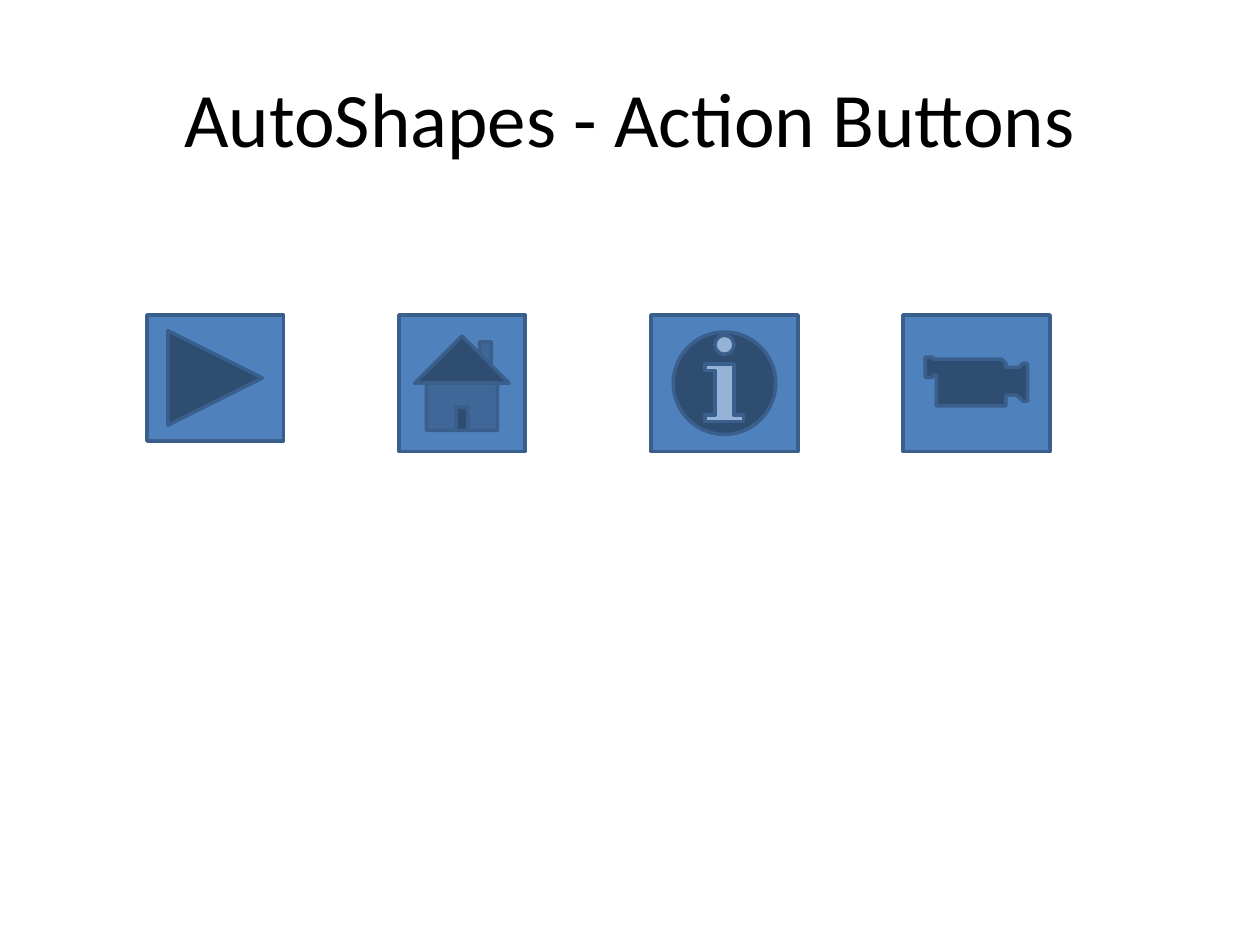
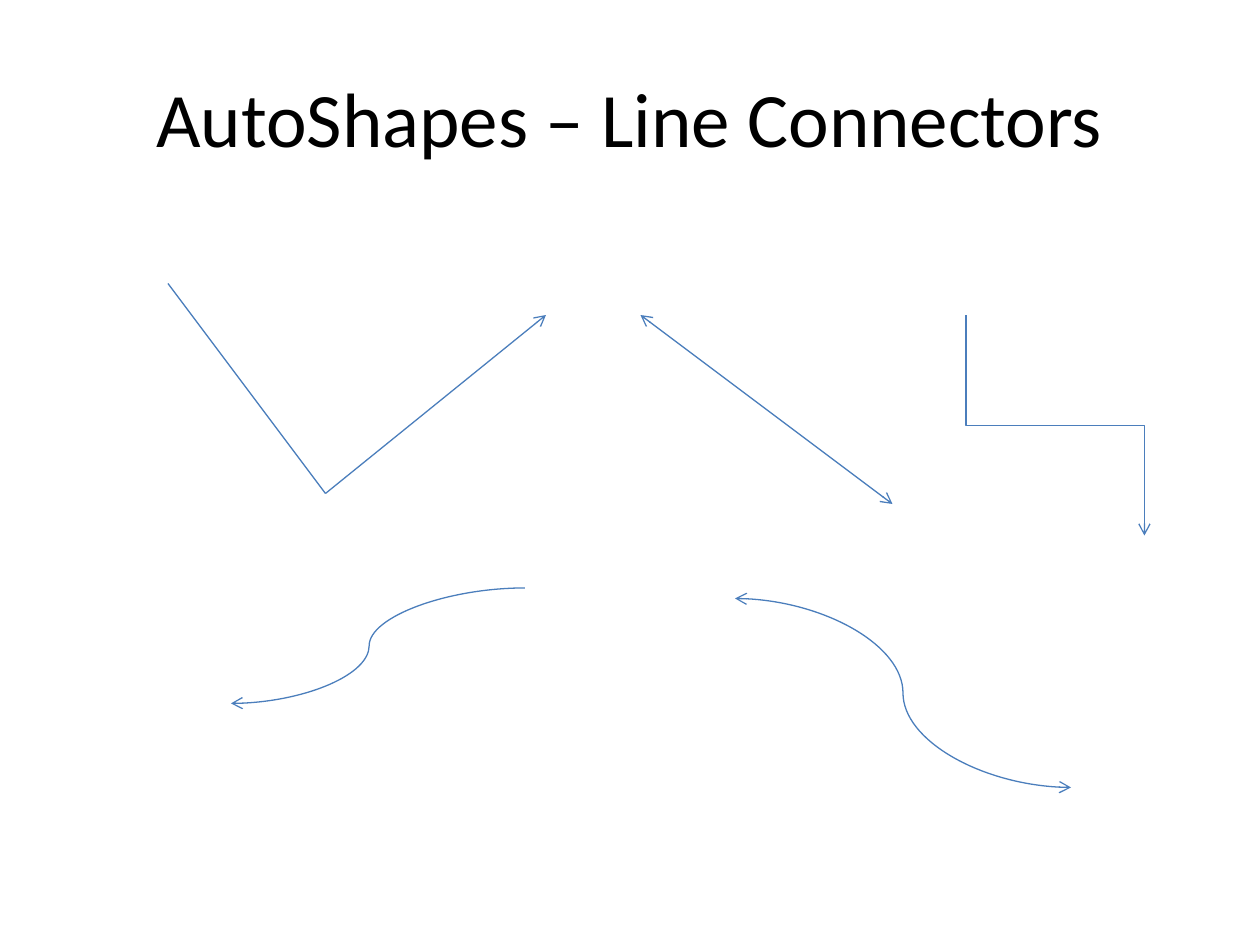
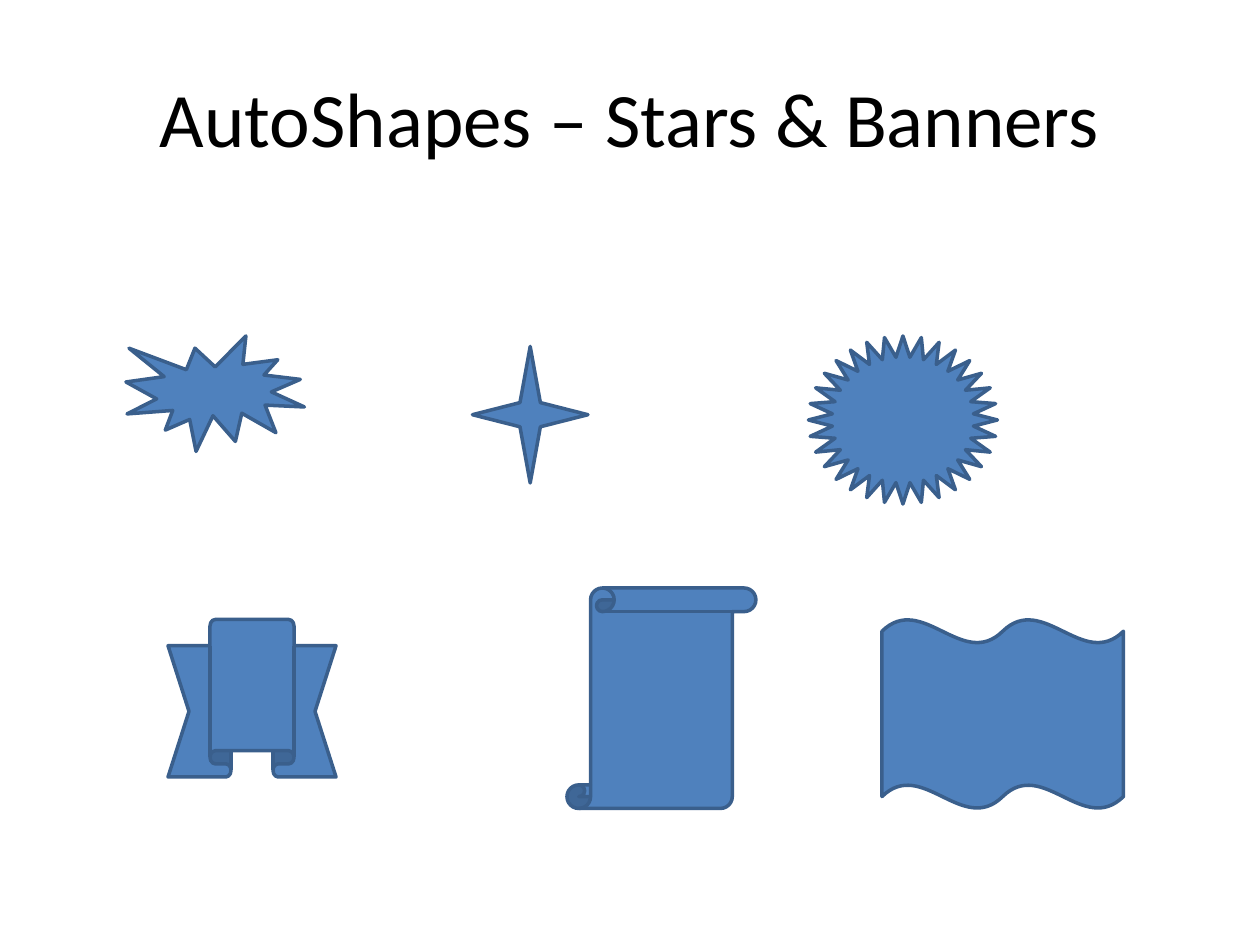
from lxml.etree import SubElement
from pptx import Presentation
from pptx.dml.color import RGBColor
from pptx.enum.shapes import MSO_CONNECTOR as Route, MSO_SHAPE as Preset
from pptx.enum.text import MSO_ANCHOR, PP_ALIGN
from pptx.oxml.ns import qn
from pptx.util import Pt

# Shared look
BLACK = RGBColor(0x00, 0x00, 0x00)
SHAPE_FILL = RGBColor(0x4F, 0x81, 0xBD)
SHAPE_EDGE = RGBColor(0x3A, 0x5F, 0x8C)
CONNECTOR_BLUE = RGBColor(0x4B, 0x7E, 0xBC)
TITLE_FRAME = {"word_wrap": True, "vertical_anchor": MSO_ANCHOR.MIDDLE}
TITLE_FONT = {"name": "Calibri", "size": Pt(44)}
BLANK_LAYOUT = 6

# Action buttons: equal pitch, (preset, width, height)
BUTTON_LEFT, BUTTON_TOP, BUTTON_PITCH = 84, 180, 144
BUTTONS = [
    (Preset.ACTION_BUTTON_FORWARD_OR_NEXT, 78, 72),
    (Preset.ACTION_BUTTON_HOME, 72, 78),
    (Preset.ACTION_BUTTON_INFORMATION, 84, 78),
    (Preset.ACTION_BUTTON_MOVIE, 84, 78),
]

# Connectors: (route, begin, end, options)
TO_END = ("tailEnd",)
BOTH_ENDS = ("headEnd", "tailEnd")
CONNECTORS = [
    (Route.STRAIGHT, (96, 162), (186, 282), {}),
    (Route.STRAIGHT, (186, 282), (312, 180), {"arrows": TO_END}),
    (Route.STRAIGHT, (366, 180), (510, 288), {"arrows": BOTH_ENDS}),
    # Given before its turn, which makes it leave downwards
    (Route.ELBOW, (666, 192), (540, 294), {"arrows": TO_END, "rotation": 270}),
    (Route.CURVE, (300, 336), (132, 402), {"arrows": TO_END, "bend": 0.53}),
    (Route.CURVE, (420, 342), (612, 450), {"arrows": BOTH_ENDS}),
]

# Stars and banners: (preset, left, top, width, height)
STARS_AND_BANNERS = [
    (Preset.EXPLOSION1, 72, 192, 102, 66),
    (Preset.STAR_4_POINT, 270, 198, 66, 78),
    (Preset.STAR_32_POINT, 462, 192, 108, 96),
    (Preset.UP_RIBBON, 96, 354, 96, 90),
    (Preset.VERTICAL_SCROLL, 324, 336, 108, 126),
    (Preset.DOUBLE_WAVE, 504, 354, 138, 108),
]


def apply_format(target, values):
    for name, value in values.items():
        setattr(target, name, value)


def add_titled_slide(presentation, title):
    slide = presentation.slides.add_slide(presentation.slide_layouts[BLANK_LAYOUT])
    box = slide.shapes.add_textbox(Pt(36), Pt(21.6), Pt(648), Pt(90))
    apply_format(box.text_frame, TITLE_FRAME)
    paragraph = box.text_frame.paragraphs[0]
    paragraph.alignment = PP_ALIGN.CENTER
    run = paragraph.add_run()
    run.text = title
    apply_format(run.font, TITLE_FONT)
    run.font.color.rgb = BLACK
    return slide


def add_preset(slide, preset, left, top, width, height):
    shape = slide.shapes.add_shape(preset, Pt(left), Pt(top), Pt(width), Pt(height))
    shape.shadow.inherit = False
    shape.fill.solid()
    shape.fill.fore_color.rgb = SHAPE_FILL
    shape.line.color.rgb = SHAPE_EDGE
    shape.line.width = Pt(2)
    shape.text_frame.paragraphs[0].font.color.rgb = BLACK


def add_line(slide, route, begin, end, arrows=(), rotation=0, bend=None):
    connector = slide.shapes.add_connector(route, *map(Pt, begin + end))
    connector.line.color.rgb = CONNECTOR_BLUE
    connector.line.width = Pt(0.75)
    properties = connector._element.spPr
    for arrow in arrows:
        SubElement(connector.line._ln, qn(f"a:{arrow}"), type="arrow")
    if rotation:
        properties.find(qn("a:xfrm")).set("rot", str(rotation * 60000))
    if bend is not None:
        adjustments = properties.find(qn("a:prstGeom")).find(qn("a:avLst"))
        SubElement(adjustments, qn("a:gd"), name="adj1", fmla=f"val {round(bend * 100000)}")
    SubElement(properties, qn("a:effectLst"))  # no shadow


def main():
    presentation = Presentation()
    presentation.slide_width, presentation.slide_height = Pt(720), Pt(540)

    # Action buttons
    slide = add_titled_slide(presentation, "AutoShapes - Action Buttons")
    for column, (preset, width, height) in enumerate(BUTTONS):
        left = BUTTON_LEFT + column * BUTTON_PITCH
        add_preset(slide, preset, left, BUTTON_TOP, width, height)

    # Line connectors
    slide = add_titled_slide(presentation, "AutoShapes – Line Connectors")
    for route, begin, end, options in CONNECTORS:
        add_line(slide, route, begin, end, **options)

    # Stars and banners
    slide = add_titled_slide(presentation, "AutoShapes – Stars & Banners")
    for preset, *frame in STARS_AND_BANNERS:
        add_preset(slide, preset, *frame)

    presentation.save("out.pptx")


if __name__ == "__main__":
    main()
